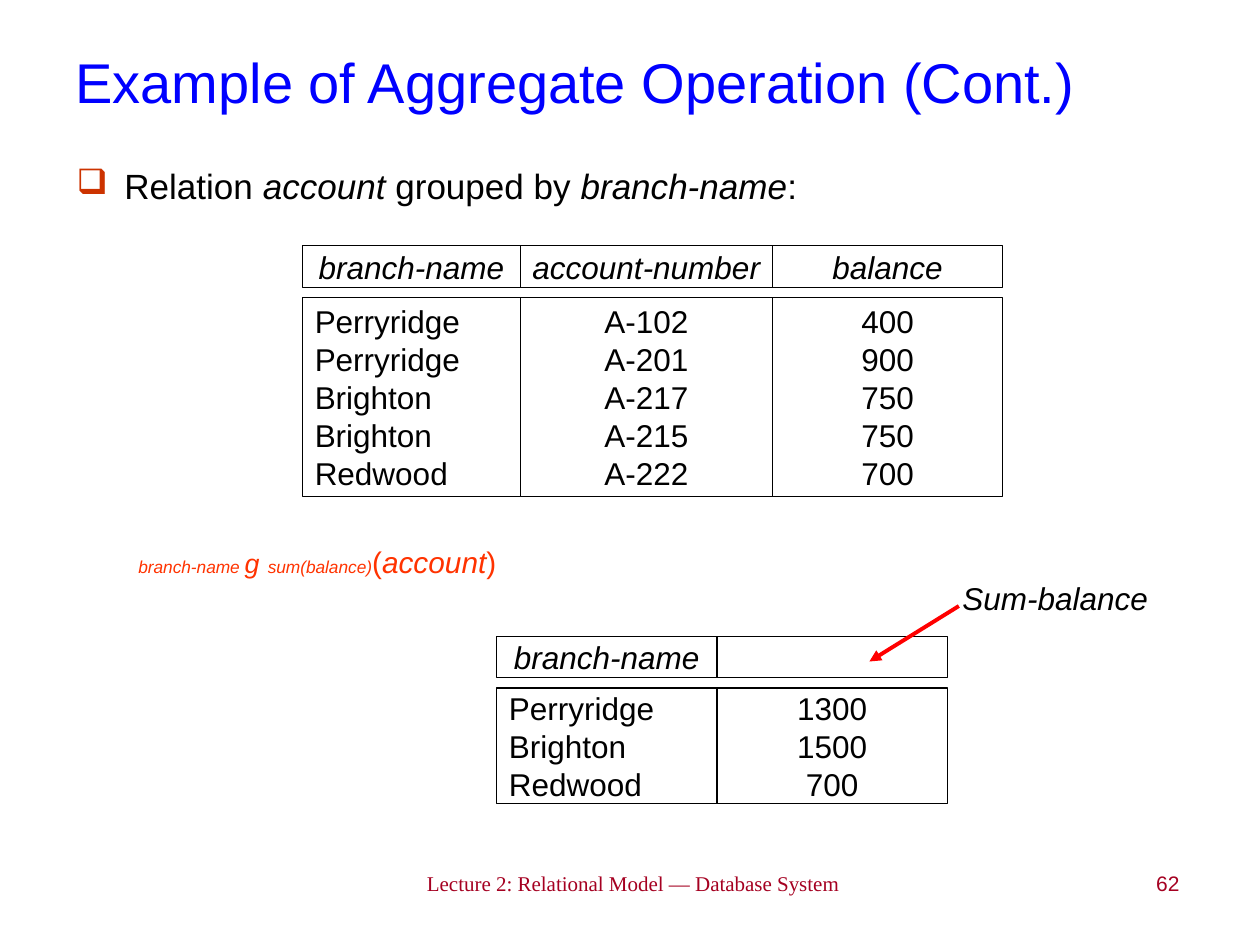
from lxml import etree
from pptx import Presentation
from pptx.dml.color import RGBColor
from pptx.enum.shapes import MSO_CONNECTOR, MSO_SHAPE
from pptx.enum.text import MSO_ANCHOR, PP_ALIGN
from pptx.oxml.ns import qn
from pptx.util import Inches, Pt

LEFT, MID, RIGHT = PP_ALIGN.LEFT, PP_ALIGN.CENTER, PP_ALIGN.RIGHT
TOP, CORE = MSO_ANCHOR.TOP, MSO_ANCHOR.MIDDLE
RECT, LINE = MSO_SHAPE.RECTANGLE, MSO_CONNECTOR.STRAIGHT

WIDE, HIGH = Inches(10), Inches(7.5)
COL, ROW = WIDE / 10, HIGH / 7.5
HEAD, GAP = 0.33, 0.08
BLACK, RED, WINE = "000000", "FF3300", "A50021"


def tint(code):
    return RGBColor.from_string(code)


def place(*box):
    return [round(n * unit) for n, unit in zip(box, (COL, ROW, COL, ROW))]


def mark(para, sign, color, indent):
    props = para._p.get_or_add_pPr()
    props.set("marL", str(round(indent * COL)))
    props.set("indent", str(round(-indent * COL)))
    hue = etree.SubElement(props, qn("a:buClr"))
    etree.SubElement(hue, qn("a:srgbClr")).set("val", color)
    etree.SubElement(props, qn("a:buChar")).set("char", sign)


def text(shape, lines, size=18, color=BLACK, face="Arial", slant=False,
         align=LEFT, anchor=TOP, wrap=True, space=None, sign=None):
    frame = shape.text_frame
    frame.word_wrap = wrap
    frame.vertical_anchor = anchor
    for i, line in enumerate(lines):
        para = frame.paragraphs[0] if i == 0 else frame.add_paragraph()
        if sign:
            mark(para, *sign)
        para.alignment = align
        if space:
            para.line_spacing = space
        for part in [(line, {})] if isinstance(line, str) else line:
            words, style = part
            run = para.add_run()
            run.text = words
            font = run.font
            font.name = face
            font.size = Pt(style.get("size", size))
            font.italic = style.get("slant", slant)
            font.color.rgb = tint(color)
            if "base" in style:
                run._r.get_or_add_rPr().set("baseline", str(style["base"]))


def label(slide, box, lines, **style):
    text(slide.shapes.add_textbox(*place(*box)), lines, **style)


def cell(slide, box, lines, **style):
    shape = slide.shapes.add_shape(RECT, *place(*box))
    shape.shadow.inherit = False
    shape.fill.solid()
    shape.fill.fore_color.rgb = tint("FFFFFF")
    shape.line.color.rgb = tint(BLACK)
    shape.line.width = Pt(0.75)
    text(shape, lines, anchor=CORE, wrap=False, **style)


def table(slide, box, data):
    left, top, _, high = box
    drop = HEAD + GAP
    for i, (name, wide, items) in enumerate(data):
        names = [name] if name else []
        cell(slide, (left, top, wide, HEAD), names, slant=True, align=MID)
        cell(slide, (left, top + drop, wide, high - drop), items,
             align=MID if i else LEFT)
        left += wide


def arrow(slide, box):
    left, top, wide, high = place(*box)
    line = slide.shapes.add_connector(
        LINE, left + wide, top, left, top + high)
    line.line.color.rgb = tint("FF0000")
    line.line.width = Pt(2.25)
    tail = etree.SubElement(line.line._get_or_add_ln(), qn("a:tailEnd"))
    tail.set("type", "triangle")
    etree.SubElement(line._element.spPr, qn("a:effectLst"))


def header(slide, box):
    label(slide, box, ["Example of Aggregate Operation (Cont.)"],
          size=32, color="0000FF", anchor=CORE)


def footer(slide, box):
    left, top, wide, high = box
    label(slide, (left, top, wide * 0.76, high),
          ["Lecture 2: Relational Model — Database System"],
          size=12, color=WINE, face="Times New Roman", align=MID)
    label(slide, (left + wide * 0.8, top, wide * 0.2, high), ["62"],
          size=12, color=WINE, align=RIGHT)


def source(slide, box):
    left, top, wide, high = box
    italic = {"slant": True}
    label(slide, (left, top, wide, 0.45),
          [[("Relation ", {}), ("account", italic), (" grouped by ", {}),
            ("branch-name", italic), (":", {})]],
          size=20, sign=("❑", "CC3300", 0.38))
    table(slide, (left + 1.89, top + 0.69, 5.55, high - 0.69), [
        ("branch-name", 1.73, ["Perryridge", "Perryridge", "Brighton",
                               "Brighton", "Redwood"]),
        ("account-number", 2,
         ["A-102", "A-201", "A-217", "A-215", "A-222"]),
        ("balance", 1.83, ["400", "900", "750", "750", "700"]),
    ])


def result(slide, box):
    left, top, wide, high = box
    low, plain = {"base": -25}, {"slant": False}
    label(slide, (left, top, 3.96, 0.45),
          [[("branch-name ", low), ("g", {"size": 15.3}), (" ", {}),
            ("sum(balance)", low), ("(", plain), ("account", {}),
            (")", plain)]],
          size=17, color=RED, slant=True, space=0.9)
    table(slide, (left + 2.94, top + 0.75, 3.58, high - 0.75), [
        ("branch-name", 1.75, ["Perryridge", "Brighton", "Redwood"]),
        ("", 1.83, ["1300", "1500", "700"]),
    ])
    label(slide, (left + wide - 1.74, top + 0.25, 1.74, 0.4),
          ["Sum-balance"], slant=True)
    arrow(slide, (left + 5.9, top + 0.51, 0.71, 0.44))


def main():
    deck = Presentation()
    deck.slide_width, deck.slide_height = WIDE, HIGH
    slide = deck.slides.add_slide(deck.slide_layouts[6])
    header(slide, (0.5, 0.02, 9, 1.25))
    source(slide, (0.51, 1.26, 9.06, 2.68))
    result(slide, (1, 4.3, 8.28, 2.08))
    footer(slide, (2.31, 6.86, 7.15, 0.45))
    deck.save("out.pptx")


if __name__ == "__main__":
    main()
